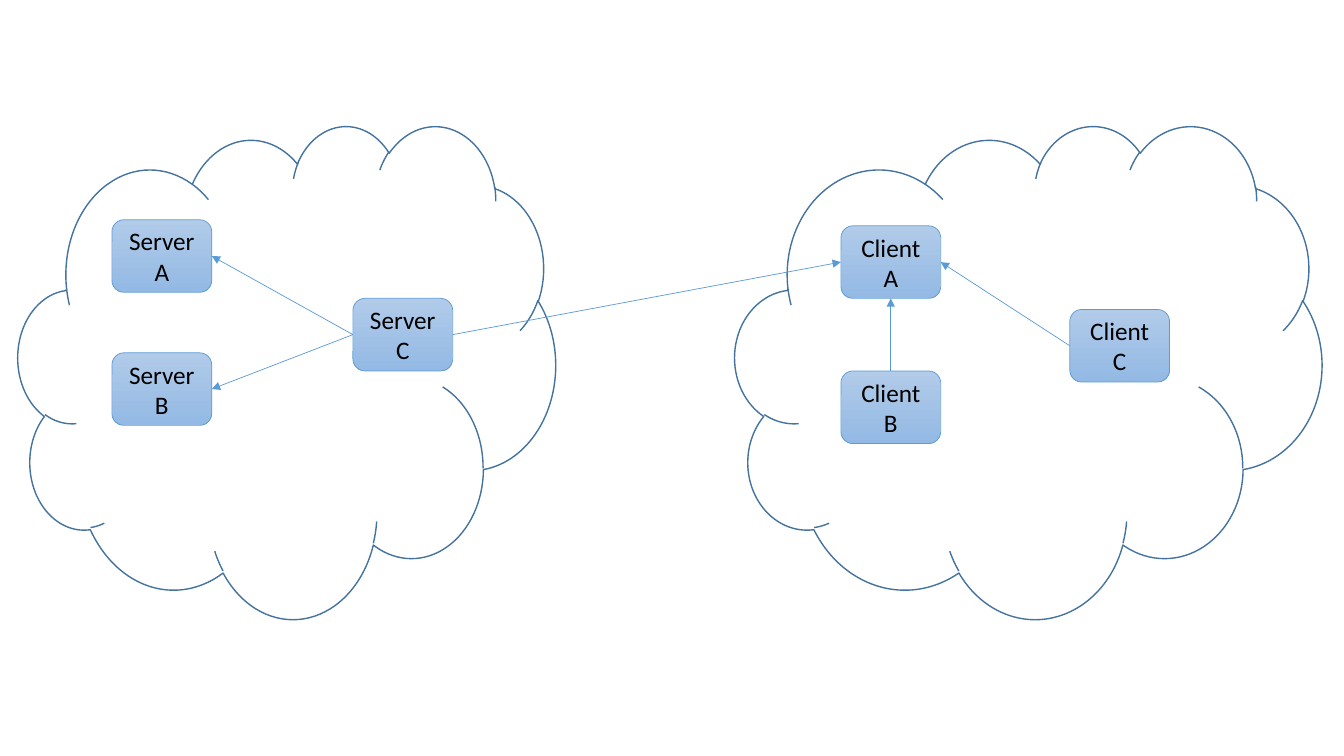
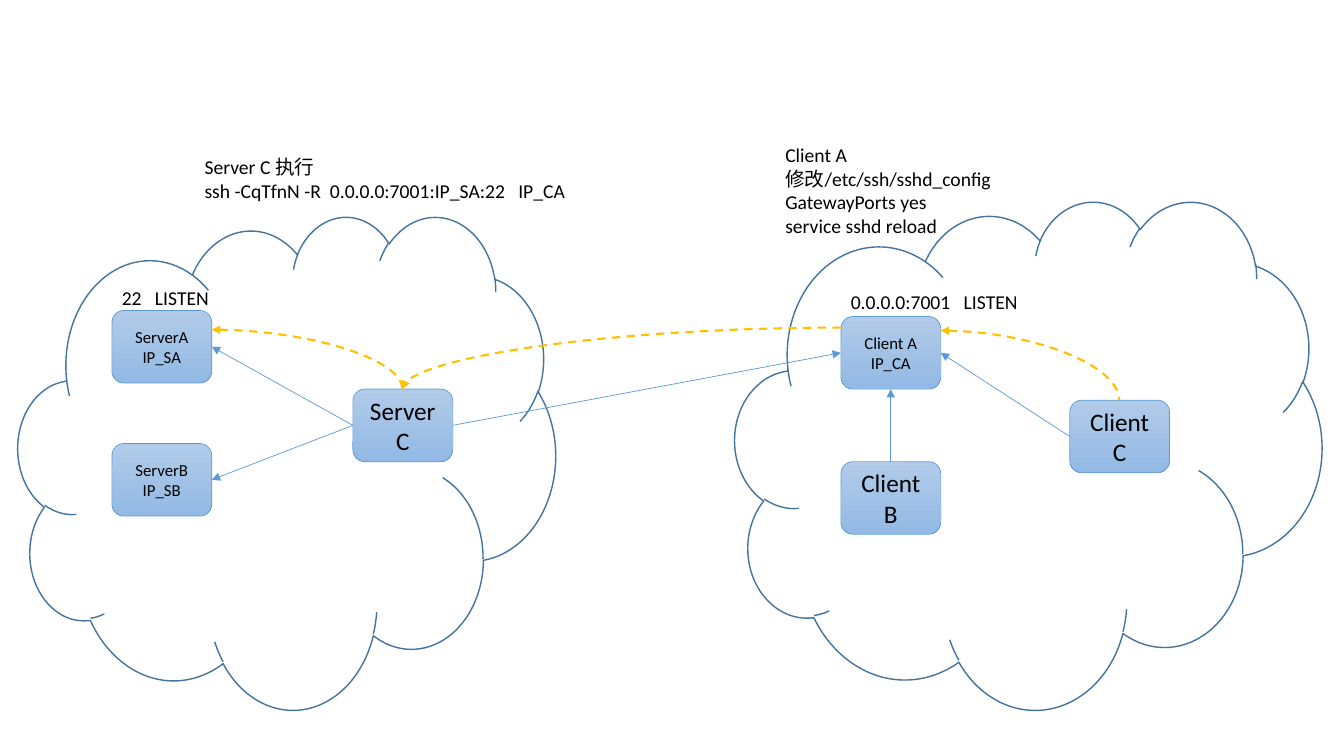
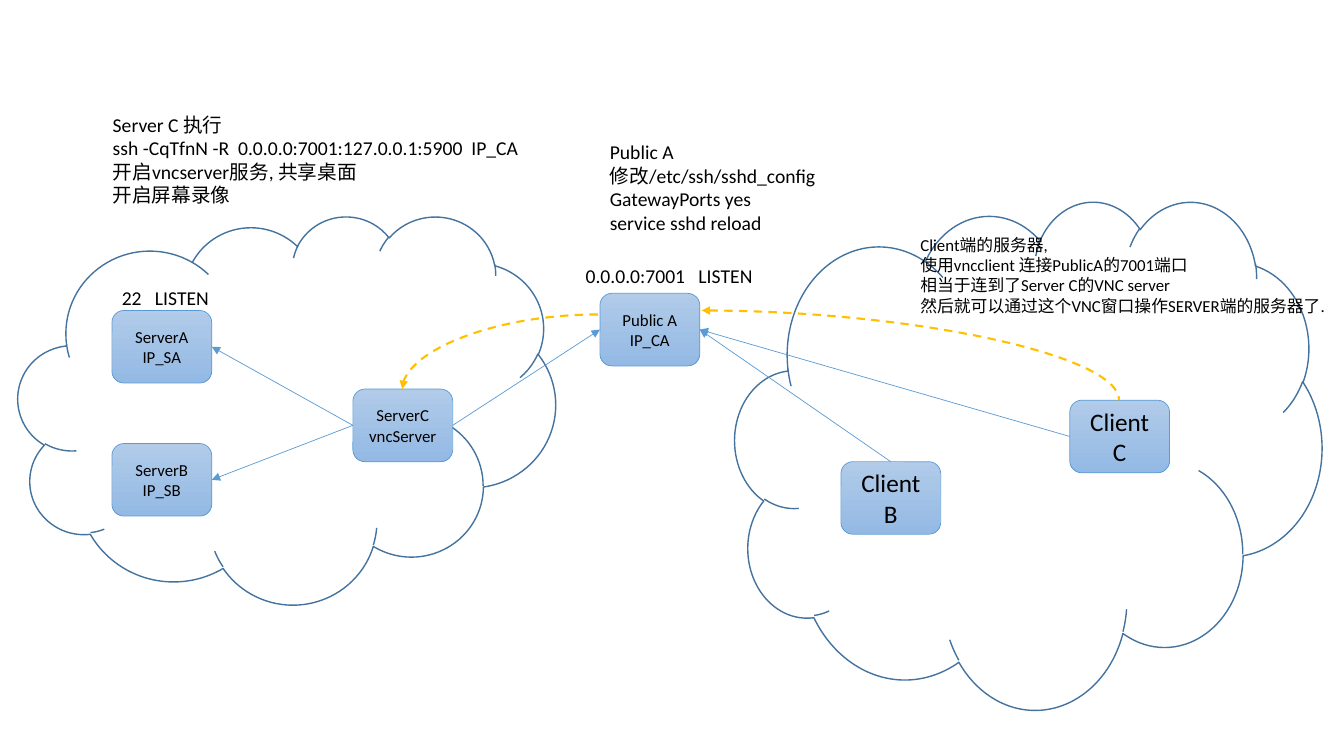
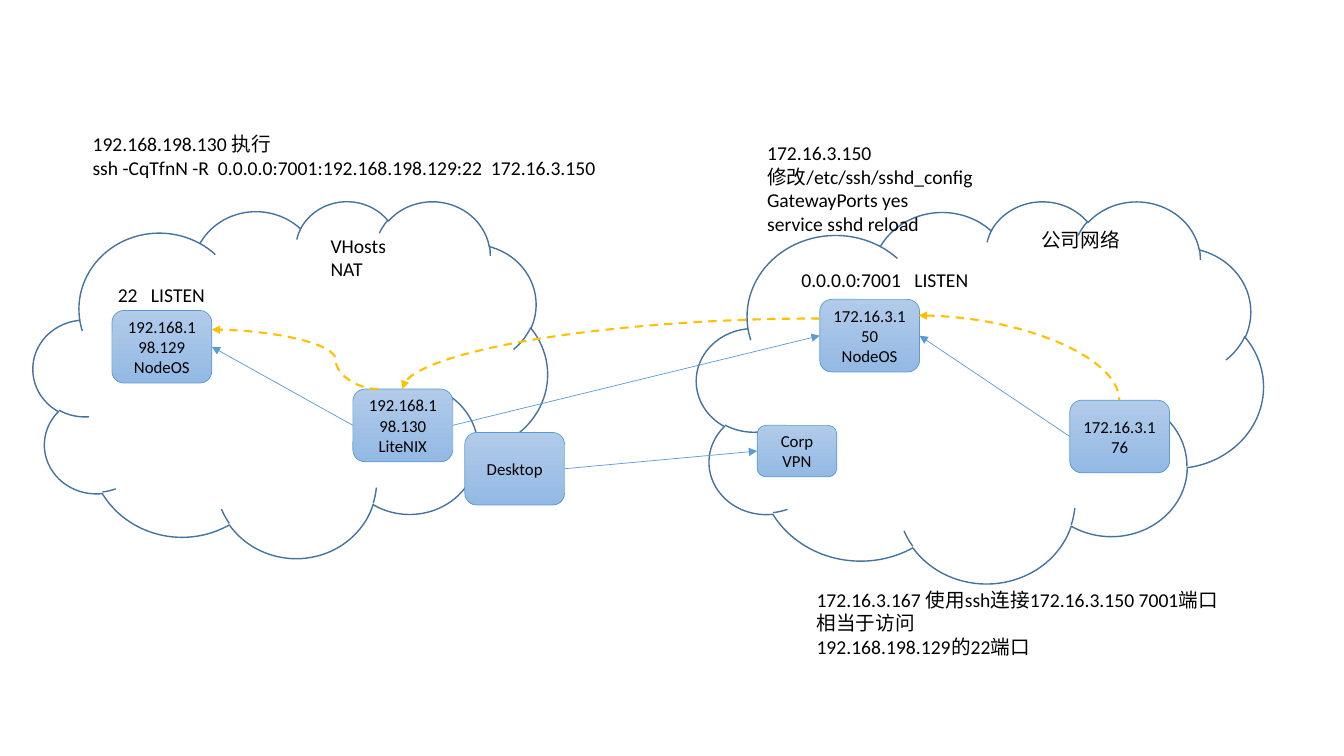
import pptx
import pptx.util
import pptx.dml.color
import pptx.enum.dml
import pptx.enum.shapes
import pptx.enum.text
import pptx.oxml.ns
import lxml.etree

PX = 9144  # one px is a hundredth of an inch
FONT = "Calibri"
INK, EDGE, RIM, GOLD = "000000", "5B9BD5", "43739E", "FFC000"
LIGHT, DEEP = "B1CBE9", "93B9E4"
TOP, LEFT, BOTTOM, RIGHT = range(4)
SHAPE = pptx.enum.shapes.MSO_SHAPE
LINE = pptx.enum.shapes.MSO_CONNECTOR
ALIGN = pptx.enum.text.PP_ALIGN
ANCHOR = pptx.enum.text.MSO_ANCHOR

# Wording that several slides share
PORT = "0.0.0.0:7001   LISTEN"
HOME = "22   LISTEN"
SETUP = " 修改/etc/ssh/sshd_config\nGatewayPorts yes\nservice sshd reload"


def emu(*sizes):
    return [size * PX for size in sizes]


def color(code):
    return pptx.dml.color.RGBColor.from_string(code)


def node(parent, tag, **attrs):
    return lxml.etree.SubElement(parent, pptx.oxml.ns.qn(tag), **attrs)


def stroke(item, code, width):
    item.line.color.rgb = color(code)
    item.line.width = pptx.util.Pt(width)


def write(frame, text, size=14, align=ALIGN.LEFT, anchor=ANCHOR.TOP):
    """Put one paragraph per line of text into the frame."""
    frame.word_wrap = True
    frame.vertical_anchor = anchor
    for i, line in enumerate(text.split("\n")):
        para = frame.add_paragraph() if i else frame.paragraphs[0]
        para.alignment = align
        run = para.add_run()
        run.text = line
        run.font.name = FONT
        run.font.size = pptx.util.Pt(size)
        run.font.color.rgb = color(INK)


def cloud(slide, x, y, w, h):
    item = slide.shapes.add_shape(SHAPE.CLOUD, *emu(x, y, w, h))
    item.shadow.inherit = False
    item.fill.background()
    stroke(item, RIM, 1)


def box(slide, x, y, text, size=12, w=99, h=72):
    item = slide.shapes.add_shape(SHAPE.ROUNDED_RECTANGLE, *emu(x, y, w, h))
    item.shadow.inherit = False
    item.fill.gradient()
    item.fill.gradient_angle = 270
    for stop, code in zip(item.fill.gradient_stops, (LIGHT, DEEP)):
        stop.color.rgb = color(code)
    stroke(item, EDGE, 0.5)
    write(item.text_frame, text, size=size, align=ALIGN.CENTER,
          anchor=ANCHOR.MIDDLE)
    return item


def note(slide, x, y, w, h, text, size=14):
    item = slide.shapes.add_textbox(*emu(x, y, w, h))
    write(item.text_frame, text, size=size)


def finish(item, tip):
    """Add the arrowhead and drop the shadow."""
    node(item.line._get_or_add_ln(), tip, type="triangle")
    node(item._element.spPr, "a:effectLst")


def link(slide, start, side, end, goal):
    item = slide.shapes.add_connector(LINE.STRAIGHT, 0, 0, 0, 0)
    item.begin_connect(start, side)
    item.end_connect(end, goal)
    stroke(item, EDGE, 0.5)
    finish(item, "a:tailEnd")


def curve(slide, x1, y1, x2, y2, tip="a:tailEnd", bend=None):
    """Quarter bend, level at its first end; bend makes it an S curve."""
    item = slide.shapes.add_connector(LINE.CURVE, *emu(x1, y1, x2, y2))
    geom = item._element.spPr.find(pptx.oxml.ns.qn("a:prstGeom"))
    if bend is None:
        geom.set("prst", "curvedConnector2")
    else:
        guides = geom.find(pptx.oxml.ns.qn("a:avLst"))
        node(guides, "a:gd", name="adj1", fmla=f"val {bend}")
    stroke(item, GOLD, 1.5)
    item.line.dash_style = pptx.enum.dml.MSO_LINE.DASH
    finish(item, tip)


def servers(slide, y, names, sizes):
    """Three server boxes, the third linked to the other two."""
    spots = ((111, y), (111, y + 132), (350, y + 78))
    a, b, c = [box(slide, *spot, name, size)
               for spot, name, size in zip(spots, names, sizes)]
    for end in (a, b):
        link(slide, c, LEFT, end, RIGHT)
    return c


def clients(slide, y, hub, side):
    """Client boxes B and C, both linked to the hub."""
    b = box(slide, 834, y + 150, "Client B", 18)
    c = box(slide, 1061, y + 89, "Client C", 18)
    link(slide, b, TOP, hub, side)
    link(slide, c, LEFT, hub, RIGHT)


def plain(slide):
    cloud(slide, 729, 124, 582, 489)
    cloud(slide, 18, 124, 533, 489)
    c = servers(slide, 218, ("ServerA", "ServerB", "ServerC"), (18, 18, 18))
    hub = box(slide, 834, 224, "Client A", 18)
    link(slide, c, RIGHT, hub, LEFT)
    clients(slide, 218, hub, BOTTOM)


def tunnel(slide):
    cloud(slide, 729, 199, 582, 504)
    cloud(slide, 18, 214, 533, 489)
    c = servers(slide, 308, ("ServerA\nIP_SA", "ServerB\nIP_SB", "ServerC"),
                (12, 12, 18))
    hub = box(slide, 834, 314, "Client A\nIP_CA")
    link(slide, c, RIGHT, hub, LEFT)
    clients(slide, 308, hub, BOTTOM)
    # Commands and ports
    note(slide, 193, 149, 385, 57, "Server C 执行\n"
         "ssh -CqTfnN -R  0.0.0.0:7001:IP_SA:22   IP_CA")
    note(slide, 769, 137, 280, 81, "Client A" + SETUP)
    note(slide, 834, 283, 190, 34, PORT)
    note(slide, 111, 279, 110, 34, HOME)
    # Path of the traffic
    curve(slide, 933, 328, 1110, 397, tip="a:headEnd")
    curve(slide, 834, 325, 399, 386)
    curve(slide, 210, 327, 399, 386, tip="a:headEnd")


def screen(slide):
    cloud(slide, 729, 199, 582, 504)
    cloud(slide, 18, 214, 533, 385)
    c = servers(slide, 308, ("ServerA\nIP_SA", "ServerB\nIP_SB",
                             "ServerC\nvncServer"), (12, 12, 12))
    hub = box(slide, 595, 291, "Public A\nIP_CA")
    link(slide, c, RIGHT, hub, LEFT)
    clients(slide, 308, hub, RIGHT)
    # Commands and ports
    note(slide, 102, 107, 430, 104, "Server C 执行\n"
         "ssh -CqTfnN -R  0.0.0.0:7001:127.0.0.1:5900  IP_CA\n"
         "开启vncserver服务, 共享桌面\n开启屏幕录像")
    note(slide, 595, 134, 280, 81, "Public A" + SETUP)
    note(slide, 571, 257, 190, 34, PORT)
    note(slide, 111, 279, 110, 34, HOME)
    note(slide, 903, 228, 425, 91, "Client端的服务器,\n"
         "使用vncclient 连接PublicA的7001端口\n"
         "相当于连到了Server C的VNC server\n"
         "然后就可以通过这个VNC窗口操作SERVER端的服务器了.", size=12)
    # Path of the traffic
    curve(slide, 696, 308, 1110, 397, tip="a:headEnd")
    curve(slide, 593, 312, 399, 386)


def office(slide):
    cloud(slide, 691, 199, 562, 379)
    cloud(slide, 33, 199, 510, 354)
    a = box(slide, 111, 308, "192.168.198.129\nNodeOS")
    desk = box(slide, 461, 429, "Desktop")
    c = box(slide, 350, 386, "192.168.198.130\nLiteNIX")
    hub = box(slide, 813, 297, "172.16.3.150\nNodeOS")
    far = box(slide, 1061, 397, "172.16.3.176")
    gate = box(slide, 751, 422, "Corp\nVPN", w=79, h=51)
    link(slide, c, LEFT, a, RIGHT)
    link(slide, c, RIGHT, hub, LEFT)
    link(slide, far, LEFT, hub, RIGHT)
    link(slide, desk, RIGHT, gate, LEFT)
    # Commands, ports and network names
    note(slide, 82, 126, 530, 57, "192.168.198.130 执行\n"
         "ssh -CqTfnN -R  0.0.0.0:7001:192.168.198.129:22  172.16.3.150")
    note(slide, 751, 135, 325, 81, "172.16.3.150" + SETUP)
    note(slide, 785, 261, 190, 34, PORT)
    note(slide, 107, 276, 110, 34, HOME)
    note(slide, 800, 578, 422, 81,
         "172.16.3.167 使用ssh连接172.16.3.150 7001端口\n"
         "相当于访问\n192.168.198.129的22端口")
    note(slide, 318, 227, 88, 57, "VHosts\nNAT")
    note(slide, 1023, 221, 102, 34, "公司网络")
    # Path of the traffic
    curve(slide, 911, 313, 1110, 397, tip="a:headEnd")
    curve(slide, 813, 316, 399, 386)
    curve(slide, 375, 386, 210, 327, bend=25600)


def main():
    deck = pptx.Presentation()
    deck.slide_width, deck.slide_height = emu(1333, 750)
    for draw in (plain, tunnel, screen, office):
        draw(deck.slides.add_slide(deck.slide_layouts[6]))
    deck.save("out.pptx")


if __name__ == "__main__":
    main()
